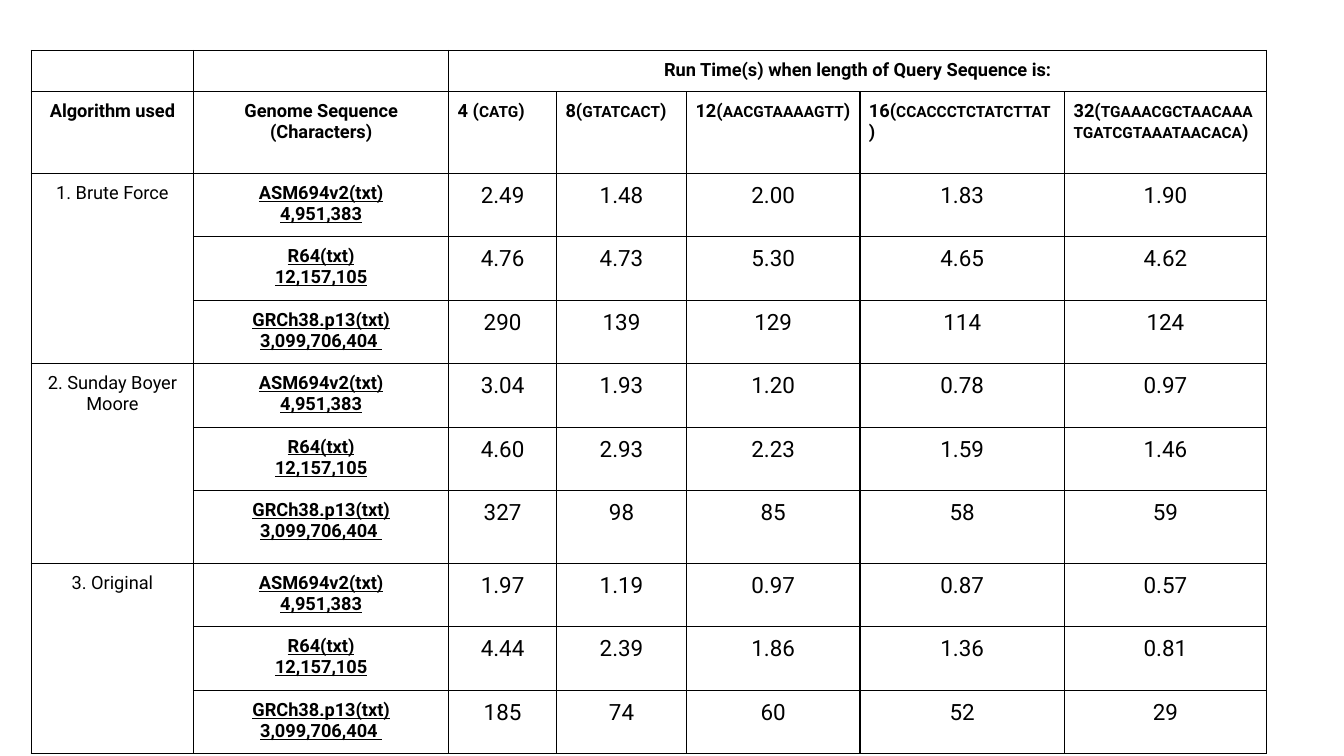
from lxml import etree
from pptx import Presentation
from pptx.dml.color import RGBColor
from pptx.enum.text import PP_ALIGN
from pptx.oxml.ns import qn
from pptx.util import Inches, Pt

CENTER = PP_ALIGN.CENTER
LEFT = PP_ALIGN.LEFT
FONT = "Roboto"
BLACK = "000000"

COL_WIDTHS = [1.61, 2.53, 1.07, 1.29, 1.72, 2.03, 2]
ROW_HEIGHTS = [0.41, 0.81] + [0.63] * 5 + [0.72] + [0.63] * 3
QUERIES = [
    ("4 (", "CATG"),
    ("8(", "GTATCACT"),
    ("12(", "AACGTAAAAGTT"),
    ("16(", "CCACCCTCTATCTTAT"),
    ("32(", "TGAAACGCTAACAAATGATCGTAAATAACACA"),
]
GENOMES = [
    "ASM694v2(txt)\n4,951,383",
    "R64(txt)\n12,157,105",
    "GRCh38.p13(txt) 3,099,706,404 ",
]
RUN_TIMES = {
    "1. Brute Force": [
        ["2.49", "1.48", "2.00", "1.83", "1.90"],
        ["4.76", "4.73", "5.30", "4.65", "4.62"],
        ["290", "139", "129", "114", "124"],
    ],
    "2. Sunday Boyer Moore": [
        ["3.04", "1.93", "1.20", "0.78", "0.97"],
        ["4.60", "2.93", "2.23", "1.59", "1.46"],
        ["327", "98", "85", "58", "59"],
    ],
    "3. Original": [
        ["1.97", "1.19", "0.97", "0.87", "0.57"],
        ["4.44", "2.39", "1.86", "1.36", "0.81"],
        ["185", "74", "60", "52", "29"],
    ],
}


def color(value):
    return RGBColor.from_string(value)


def add_borders(cell):
    tcPr = cell._tc.get_or_add_tcPr()
    for i, side in enumerate(("lnL", "lnR", "lnT", "lnB")):
        ln = etree.Element(qn(f"a:{side}"), w=str(Pt(1)))
        fill = etree.SubElement(ln, qn("a:solidFill"))
        etree.SubElement(fill, qn("a:srgbClr"), val=BLACK)
        tcPr.insert(i, ln)


def format_cell(cell):
    cell.fill.background()
    cell.margin_left = cell.margin_right = Inches(0.09)
    cell.margin_top = cell.margin_bottom = Inches(0.09)
    add_borders(cell)
    set_text(cell, "")


def set_text(cell, text, size=13, bold=False, underline=False, align=CENTER):
    p = cell.text_frame.paragraphs[0]
    p.text = text
    p.alignment = align
    p.font.name = FONT
    p.font.size = Pt(size)
    p.font.bold = bold
    p.font.underline = underline
    p.font.color.rgb = color(BLACK)
    return p


def fill_header(table):
    table.cell(0, 2).merge(table.cell(0, 6))
    set_text(table.cell(0, 2), "Run Time(s) when length of Query Sequence is:", bold=True)
    set_text(table.cell(1, 0), "Algorithm used", bold=True)
    set_text(table.cell(1, 1), "Genome Sequence\n(Characters)", bold=True)
    for col, (length, sequence) in enumerate(QUERIES, 2):
        p = set_text(table.cell(1, col), "", bold=True, align=LEFT)
        for text, size in ((length, 13), (sequence, 11), (")", 13)):
            r = p.add_run()
            r.text = text
            r.font.size = Pt(size)


def fill_algorithm(table, top, name, times):
    table.cell(top, 0).merge(table.cell(top + len(GENOMES) - 1, 0))
    set_text(table.cell(top, 0), name)
    for row, (genome, values) in enumerate(zip(GENOMES, times), top):
        set_text(table.cell(row, 1), genome, bold=True, underline=True)
        for col, value in enumerate(values, 2):
            set_text(table.cell(row, col), value, size=16)


def add_run_time_table(s, left, top, width, height):
    table = s.shapes.add_table(
        len(ROW_HEIGHTS), len(COL_WIDTHS),
        Inches(left), Inches(top), Inches(width), Inches(height),
    ).table
    table.first_row = False
    table.horz_banding = False
    for column, size in zip(table.columns, COL_WIDTHS):
        column.width = Inches(size)
    for row, size in zip(table.rows, ROW_HEIGHTS):
        row.height = Inches(size)
    for cell in table.iter_cells():
        format_cell(cell)
    fill_header(table)
    for i, (name, times) in enumerate(RUN_TIMES.items()):
        fill_algorithm(table, 2 + i * len(GENOMES), name, times)


def main():
    prs = Presentation()
    prs.slide_width = Inches(13.33)
    prs.slide_height = Inches(7.5)
    s = prs.slides.add_slide(prs.slide_layouts[6])
    add_run_time_table(s, 0.31, 0.5, 12.26, 6.97)
    prs.save("out.pptx")


if __name__ == "__main__":
    main()
